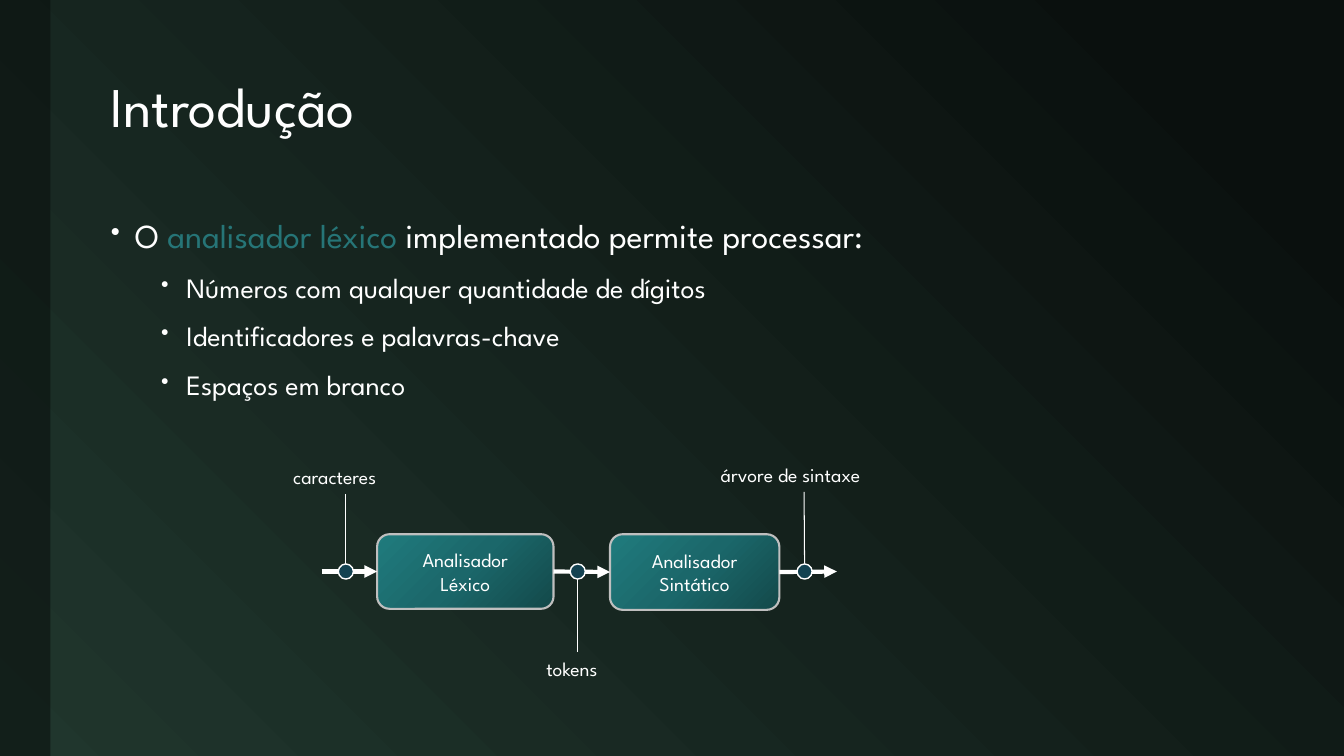
from copy import deepcopy
from dataclasses import dataclass
from typing import Any, Optional

from lxml import etree
from pptx import Presentation
from pptx import util as u
from pptx.dml import color
from pptx.enum import shapes, text
from pptx.oxml import ns

FONT = "League Spartan"
HUES = {
    "night": "0A100E", "moss": "20362D", "white": "FFFFFF", "teal": "267577",
    "deep": "13494A", "mid": "1B676A", "light": "207B7D",
    "edge": "BFBFBF", "dot": "134251",
}
AXIS = 5.67
DOT = 0.15
LEFT, RIGHT = 1, 3


@dataclass
class Box:
    """A stage of the compiler."""
    x: float
    wide: float
    high: float
    lines: tuple[str, ...]


@dataclass
class Flow:
    """An arrow between stages, with a dot and a label for what it carries."""
    start: float
    end: float
    dot: float
    label: str
    x: float
    y: float
    wide: float
    source: Optional[int]
    target: Optional[int]


@dataclass
class Point:
    level: int
    size: int
    before: int
    margin: float
    hang: float
    runs: tuple[tuple[str, str], ...]


BOXES = (
    Box(3.74, 1.75, 0.74, ("Analisador", "Léxico")),
    Box(6.05, 1.68, 0.75, ("Analisador", "Sintático")),
)
FLOWS = (
    Flow(3.19, 3.74, 3.43, "caracteres", 2.81, 4.56, 1.24, None, 0),
    Flow(5.5, 6.05, 5.73, "tokens", 5.32, 6.47, 0.82, 0, 1),
    Flow(7.74, 8.3, 7.98, "árvore de sintaxe", 7.05, 4.54, 1.85, 1, None),
)
ITEMS = (
    "Números com qualquer quantidade de dígitos",
    "Identificadores e palavras-chave",
    "Espaços em branco",
)
POINTS = (
    Point(0, 24, 0, 0.24, 0.24, (
        ("O ", "white"), ("analisador léxico", "teal"),
        (" implementado permite processar:", "white"))),
    *(Point(1, 20, 6, 0.75, 0.25, ((item, "white"),)) for item in ITEMS),
)


def rgb(name: str) -> color.RGBColor:
    return color.RGBColor.from_string(HUES[name])


def write(para: Any, words: str, size: int, hue: str = "white") -> None:
    run = para.add_run()
    run.text = words
    run.font.name = FONT
    run.font.size = u.Pt(size)
    run.font.color.rgb = rgb(hue)


def blend(fill: Any, owner: Any, stops: tuple, angle: int) -> None:
    """Fill with a gradient; the angle runs clockwise."""
    fill.gradient()
    fill.gradient_angle = 360 - angle
    rack = next(owner.iter(ns.qn("a:gsLst")))
    while len(rack) < len(stops):
        rack.append(deepcopy(rack[-1]))
    for stop, (place, hue) in zip(fill.gradient_stops, stops):
        stop.position = place
        stop.color.rgb = rgb(hue)


def frame(slide: Any, x: float, y: float, wide: float, high: float) -> Any:
    area = slide.shapes.add_textbox(*map(u.Inches, (x, y, wide, high)))
    area.text_frame.word_wrap = True
    return area


def solid(slide: Any, kind: Any, x: float, y: float, wide: float, high: float) -> Any:
    shape = slide.shapes.add_shape(kind, *map(u.Inches, (x, y, wide, high)))
    shape.shadow.inherit = False
    return shape


def link(slide: Any, x1: float, y1: float, x2: float, y2: float,
         width: float, arrow: bool = False) -> Any:
    line = slide.shapes.add_connector(
        shapes.MSO_CONNECTOR.STRAIGHT, *map(u.Inches, (x1, y1, x2, y2)))
    line.line.color.rgb = rgb("white")
    line.line.width = u.Pt(width)
    props = line.element.spPr
    if arrow:
        etree.SubElement(props.find(ns.qn("a:ln")), ns.qn("a:tailEnd"), type="triangle")
    etree.SubElement(props, ns.qn("a:effectLst"))
    return line


def draw_back(slide: Any) -> None:
    blend(slide.background.fill, slide.element,
          ((0.1, "night"), (1, "moss")), 135)
    band = solid(slide, shapes.MSO_SHAPE.RECTANGLE, 0, 0, 0.5, 7.5)
    band.fill.solid()
    band.fill.fore_color.rgb = rgb("night")
    band.line.fill.background()
    tint = next(band.element.spPr.iter(ns.qn("a:srgbClr")))
    etree.SubElement(tint, ns.qn("a:alpha"), val="60000")


def draw_title(slide: Any) -> None:
    body = frame(slide, 1, 0.42, 11.65, 1.33).text_frame
    body.vertical_anchor = text.MSO_ANCHOR.MIDDLE
    body.paragraphs[0].line_spacing = 0.9
    write(body.paragraphs[0], "Introdução", 40)


def draw_points(slide: Any) -> None:
    body = frame(slide, 1, 2, 11.65, 4.83).text_frame
    for i, point in enumerate(POINTS):
        para = body.add_paragraph() if i else body.paragraphs[0]
        para.level = point.level
        para.line_spacing = 1.2
        para.space_before = u.Pt(point.before)
        props = para._p.get_or_add_pPr()
        props.set("marL", str(u.Inches(point.margin)))
        props.set("indent", str(-u.Inches(point.hang)))
        etree.SubElement(props, ns.qn("a:buSzPct"), val="80000")
        etree.SubElement(props, ns.qn("a:buChar"), char="•")
        for words, hue in point.runs:
            write(para, words, point.size, hue)


def draw_box(slide: Any, box: Box) -> Any:
    shape = solid(slide, shapes.MSO_SHAPE.ROUNDED_RECTANGLE,
                  box.x, 5.3, box.wide, box.high)
    blend(shape.fill, shape.element,
          ((0, "deep"), (0.5, "mid"), (1, "light")), 225)
    shape.line.color.rgb = rgb("edge")
    shape.line.width = u.Pt(1.5)
    body = shape.text_frame
    body.vertical_anchor = text.MSO_ANCHOR.MIDDLE
    for i, words in enumerate(box.lines):
        para = body.add_paragraph() if i else body.paragraphs[0]
        para.alignment = text.PP_ALIGN.CENTER
        write(para, words, 14)
    return shape


def draw_flow(slide: Any, flow: Flow, stages: list) -> None:
    high = 0.34
    label = frame(slide, flow.x, flow.y, flow.wide, high)
    write(label.text_frame.paragraphs[0], flow.label, 14)

    arrow = link(slide, flow.start, AXIS, flow.end, AXIS, 3, True)
    if flow.source is not None:
        arrow.begin_connect(stages[flow.source], RIGHT)
    if flow.target is not None:
        arrow.end_connect(stages[flow.target], LEFT)

    above = flow.y < AXIS
    near = flow.y + high if above else flow.y
    rim = AXIS - DOT / 2 if above else AXIS + DOT / 2
    stem = link(slide, flow.dot, near, flow.dot, rim, 0.75)
    stem.begin_connect(label, 2 if above else 0)

    dot = solid(slide, shapes.MSO_SHAPE.OVAL,
                flow.dot - DOT / 2, AXIS - DOT / 2, DOT, DOT)
    dot.fill.solid()
    dot.fill.fore_color.rgb = rgb("dot")
    dot.line.color.rgb = rgb("white")
    dot.line.width = u.Pt(1)


def main() -> None:
    deck = Presentation()
    deck.slide_width, deck.slide_height = u.Inches(13.33), u.Inches(7.5)
    slide = deck.slides.add_slide(deck.slide_layouts[6])
    draw_back(slide)
    draw_title(slide)
    draw_points(slide)
    stages = [draw_box(slide, box) for box in BOXES]
    for flow in FLOWS:
        draw_flow(slide, flow, stages)
    deck.save("out.pptx")


if __name__ == "__main__":
    main()
